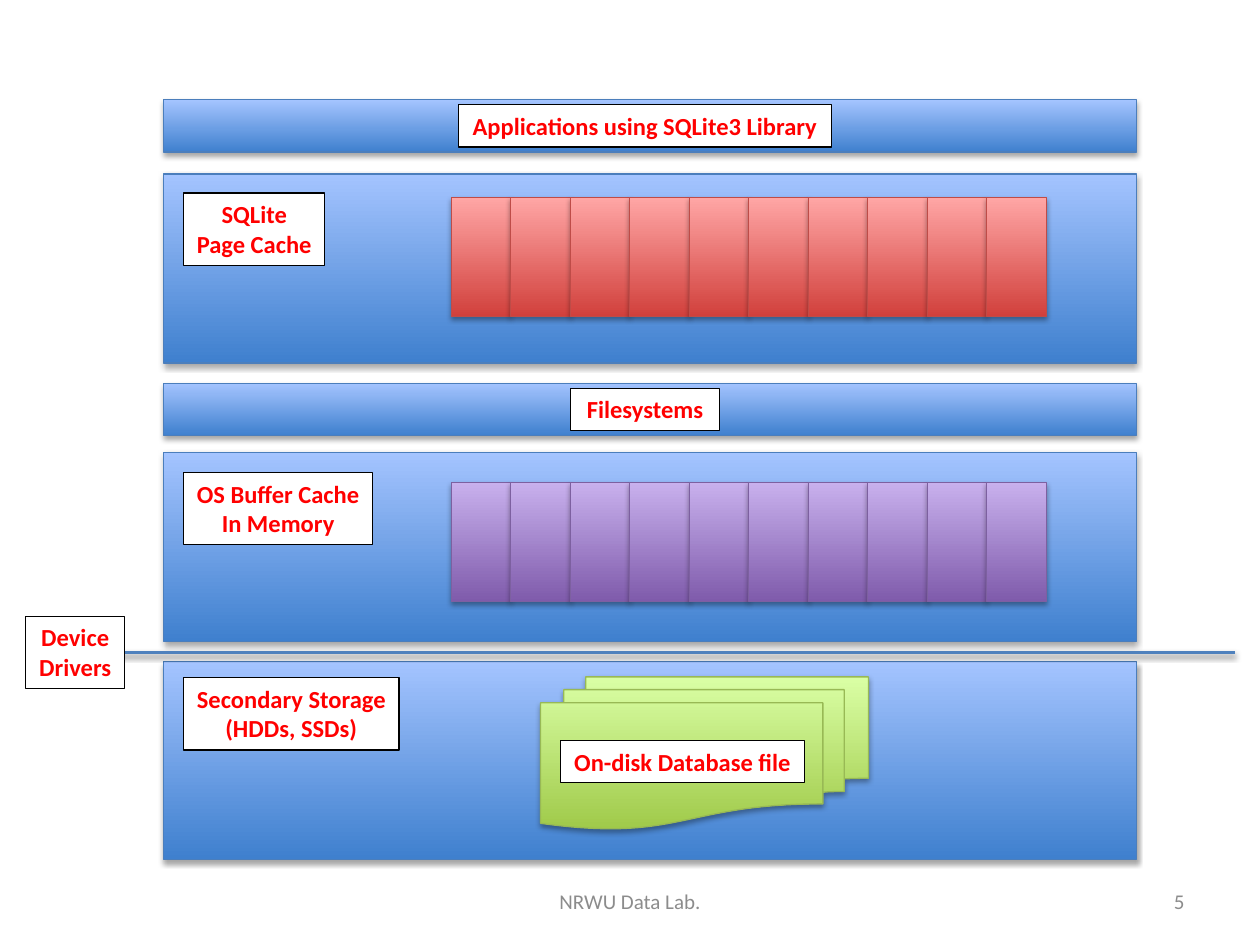
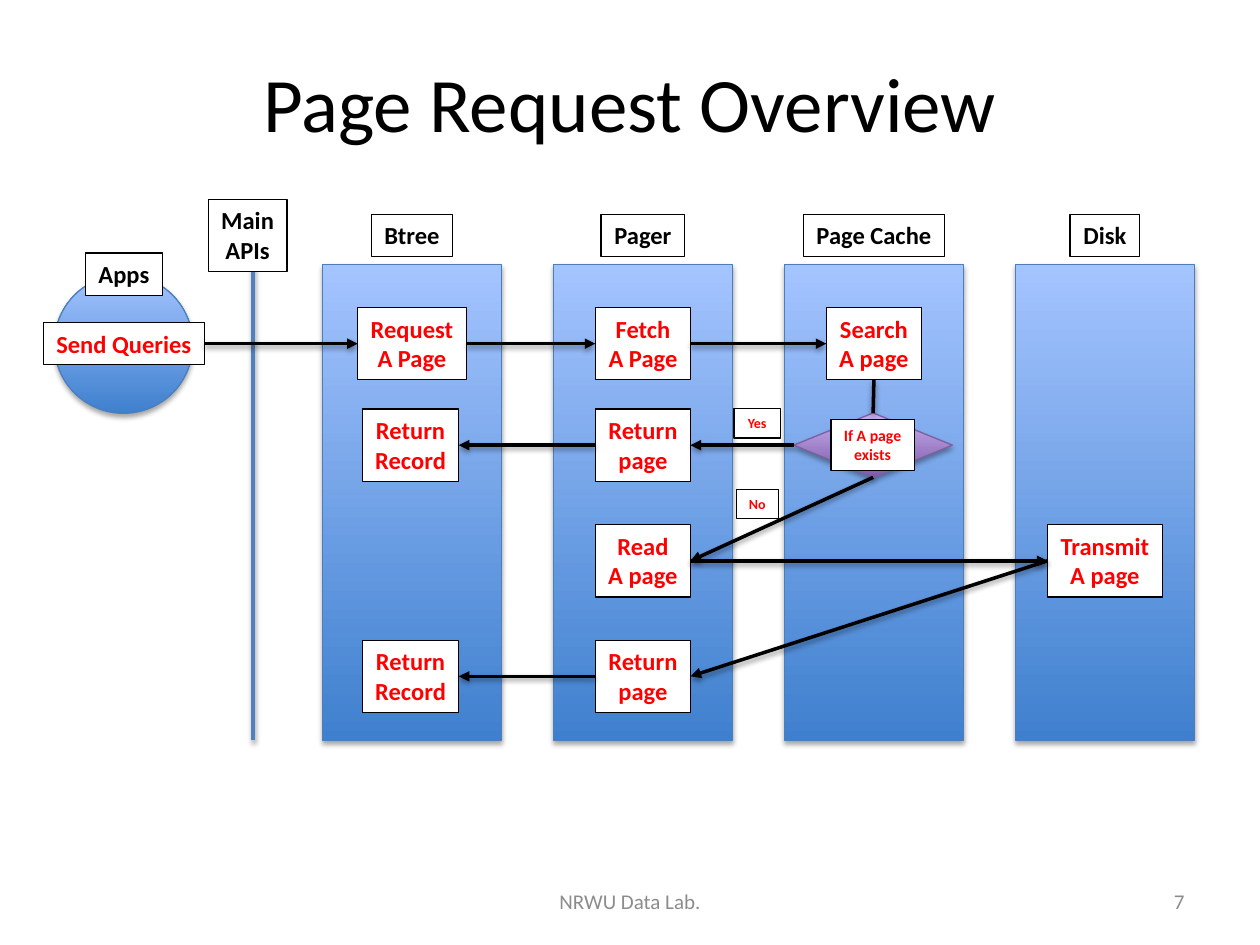
from lxml.etree import SubElement
from pptx import Presentation
from pptx.dml.color import RGBColor
from pptx.enum.shapes import MSO_CONNECTOR as Connector, MSO_SHAPE as Shape
from pptx.enum.text import MSO_ANCHOR as Anchor, MSO_AUTO_SIZE as AutoSize, PP_ALIGN as Align
from pptx.oxml.ns import qn
from pptx.util import Pt

COLORS = {
    "red": "FF0000",
    "black": "000000",
    "white": "FFFFFF",
    "gray": "8C8C8C",
    "rule": "4F81BD",
}
GRADIENTS = {
    "blue": ("3F80CE", "A4C4FF", "4B7EBC"),
    "red": ("D1403C", "FFA6A5", "BF4C48"),
    "purple": ("7F5BAB", "C8B0ED", "7D60A0"),
    "green": ("A0CA4A", "DAFFA5", "98B955"),
}
FONT = "Calibri"
TOP, LEFT, BOTTOM, RIGHT = range(4)


def rgb(value):
    return RGBColor.from_string(value)


def write(frame, text, size, color, align=Align.CENTER, bold=False):
    frame.text = text
    for para in frame.paragraphs:
        para.alignment = align
        para.font.name = FONT
        para.font.size = Pt(size)
        para.font.bold = bold
        para.font.color.rgb = rgb(COLORS[color])


def add_shadow(effects, distance, opacity):
    shadow = SubElement(effects, qn("a:outerShdw"), blurRad=str(Pt(3.1)),
                        dist=str(Pt(distance)), dir="5400000", rotWithShape="0")
    color = SubElement(shadow, qn("a:srgbClr"), val=COLORS["black"])
    SubElement(color, qn("a:alpha"), val=str(opacity * 1000))


def add_block(page, left, top, width, height, gradient="blue", kind=Shape.RECTANGLE):
    block = page.shapes.add_shape(kind, Pt(left), Pt(top), Pt(width), Pt(height))
    dark, light, edge = GRADIENTS[gradient]
    block.fill.gradient()
    block.fill.gradient_angle = 90
    for stop, color in zip(block.fill.gradient_stops, (dark, light)):
        stop.color.rgb = rgb(color)
    block.line.color.rgb = rgb(edge)
    block.line.width = Pt(0.75)
    block.shadow.inherit = False
    add_shadow(block._element.spPr.find(qn("a:effectLst")), 1.8, 35)
    return block


def add_label(page, text, center, middle, width, color="red", size=14):
    height = 7.2 + 1.217 * size * len(text.split("\n"))
    box = page.shapes.add_textbox(Pt(center - width / 2), Pt(middle - height / 2),
                                  Pt(width), Pt(height))
    box.fill.solid()
    box.fill.fore_color.rgb = rgb(COLORS["white"])
    box.line.color.rgb = rgb(COLORS["black"])
    box.line.width = Pt(0.75)
    write(box.text_frame, text, size, color, bold=True)
    box.text_frame.word_wrap = False
    box.text_frame.auto_size = AutoSize.SHAPE_TO_FIT_TEXT
    return box


def add_line(page, x1, y1, x2, y2, color):
    line = page.shapes.add_connector(Connector.STRAIGHT, Pt(x1), Pt(y1), Pt(x2), Pt(y2))
    line.line.color.rgb = rgb(COLORS[color])
    line.line.width = Pt(2)
    add_shadow(SubElement(line._element.spPr, qn("a:effectLst")), 1.6, 38)
    return line


def link(page, start, start_side, end, end_side, arrow=True):
    line = add_line(page, 0, 0, 0, 0, "black")
    line.begin_connect(start, start_side)
    line.end_connect(end, end_side)
    if arrow:
        SubElement(line.line._get_or_add_ln(), qn("a:tailEnd"), type="triangle")


def add_footer(page, number):
    for text, left, width, align in (
        ("NRWU Data Lab.", 246, 228, Align.CENTER),
        (number, 516, 168, Align.RIGHT),
    ):
        box = page.shapes.add_textbox(Pt(left), Pt(500.5), Pt(width), Pt(28.75))
        write(box.text_frame, text, 12, "gray", align)
        box.text_frame.word_wrap = True
        box.text_frame.vertical_anchor = Anchor.MIDDLE


def add_cells(page, top, gradient):
    for index in range(10):
        add_block(page, 257.9 + 34 * index, top, 34, 68, gradient)


def add_layer(page, top, height):
    add_block(page, 93.5, top, 556, height)


def add_corner_label(page, text, middle, width):
    add_label(page, text, 105 + width / 2, middle, width)


def build_layers(deck):
    page = deck.slides.add_slide(deck.slide_layouts[6])
    add_footer(page, "5")

    add_layer(page, 377.8, 113.2)
    add_corner_label(page, "Secondary Storage\n(HDDs, SSDs)", 408, 123)
    add_block(page, 308.9, 386.8, 187.4, 87, "green", Shape.FLOWCHART_MULTIDOCUMENT)
    add_label(page, "On-disk Database file", 390, 435.2, 139.3)

    add_layer(page, 258.5, 108)
    add_corner_label(page, "OS Buffer Cache\nIn Memory", 290.6, 108)
    add_cells(page, 275.8, "purple")

    add_layer(page, 219, 30)
    add_label(page, "Filesystems", 368.6, 234, 85)

    add_line(page, 42.5, 373, 705.6, 373, "rule")
    add_label(page, "Device\nDrivers", 43, 372.8, 56.4)

    add_layer(page, 99.4, 108)
    add_corner_label(page, "SQLite\nPage Cache", 131, 80.6)
    add_cells(page, 113, "red")

    add_layer(page, 57, 30)
    add_label(page, "Applications using SQLite3 Library", 368.6, 72, 213)


def build_request_flow(deck):
    page = deck.slides.add_slide(deck.slide_layouts[5])
    title = page.shapes.title
    title.left, title.top, title.width, title.height = Pt(48), Pt(21.6), Pt(624), Pt(73.5)
    write(title.text_frame, "Page Request Overview", 44, "black")
    title.text_frame.vertical_anchor = Anchor.MIDDLE
    add_footer(page, "7")

    btree, pager, cache, disk = (235.4 + 132 * index for index in range(4))
    ask, hit, miss, reply = 196.4, 254.4, 320.5, 386.5
    header = 134.5

    add_block(page, 31, 157, 79.2, 79.2, kind=Shape.OVAL)
    queries = add_label(page, "Send Queries", 70.8, ask, 92)
    add_label(page, "Apps", 70.8, 156.7, 44, "black")
    add_line(page, 144.7, 144.7, 144.7, 423, "rule")
    add_label(page, "Main\nAPIs", 141.5, header, 45, "black")

    for text, center, width in (
        ("Btree", btree, 46), ("Pager", pager, 47.8),
        ("Page Cache", cache, 80.6), ("Disk", disk, 39.8),
    ):
        add_block(page, center - 51.1, 151.2, 102.2, 272)
        add_label(page, text, center, header, width, "black")

    request = add_label(page, "Request\nA Page", btree, ask, 62)
    fetch = add_label(page, "Fetch\nA Page", pager, ask, 54.4)
    search = add_label(page, "Search\nA page", cache, ask, 54.4)
    choice = add_block(page, cache - 45.8, hit - 18.4, 90.7, 36.8, "purple", Shape.DIAMOND)
    add_label(page, "If A page\nexists", cache - 0.8, hit, 47.6, size=9)
    read = add_label(page, "Read\nA page", pager, miss, 54.4)
    transmit = add_label(page, "Transmit\nA page", disk, miss, 65.6)

    link(page, queries, RIGHT, request, LEFT)
    link(page, request, RIGHT, fetch, LEFT)
    link(page, fetch, RIGHT, search, LEFT)
    link(page, search, BOTTOM, choice, TOP, arrow=False)
    link(page, choice, BOTTOM, read, RIGHT)
    link(page, read, RIGHT, transmit, LEFT)
    for row, source in ((hit, choice), (reply, transmit)):
        found = add_label(page, "Return\npage", pager, row, 54.4)
        record = add_label(page, "Return\nRecord", btree - 0.8, row, 55.2)
        link(page, source, LEFT, found, RIGHT)
        link(page, found, LEFT, record, RIGHT)
    add_label(page, "Yes", 432.7, 241.8, 26.4, size=8)
    add_label(page, "No", 432.7, 288, 24, size=8)


def main():
    deck = Presentation()
    deck.slide_width, deck.slide_height = Pt(720), Pt(540)
    build_layers(deck)
    build_request_flow(deck)
    deck.save("out.pptx")


main()
